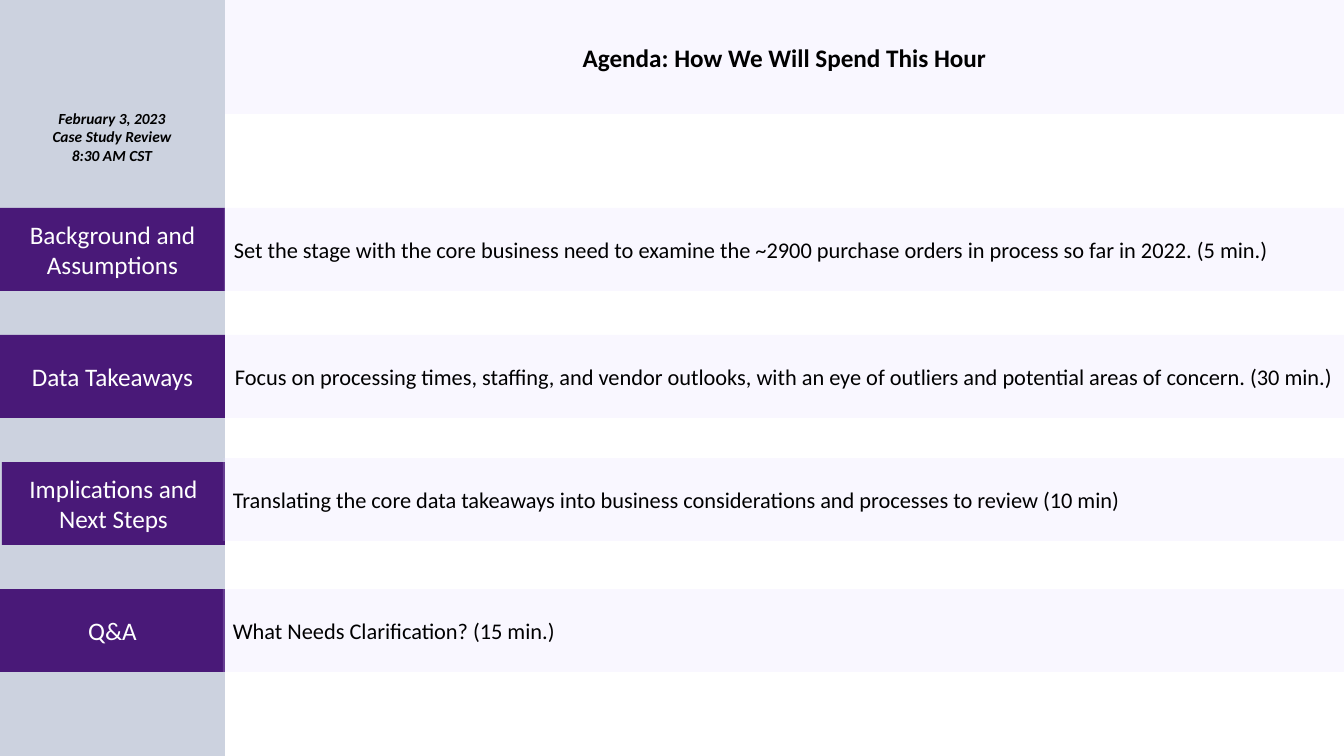
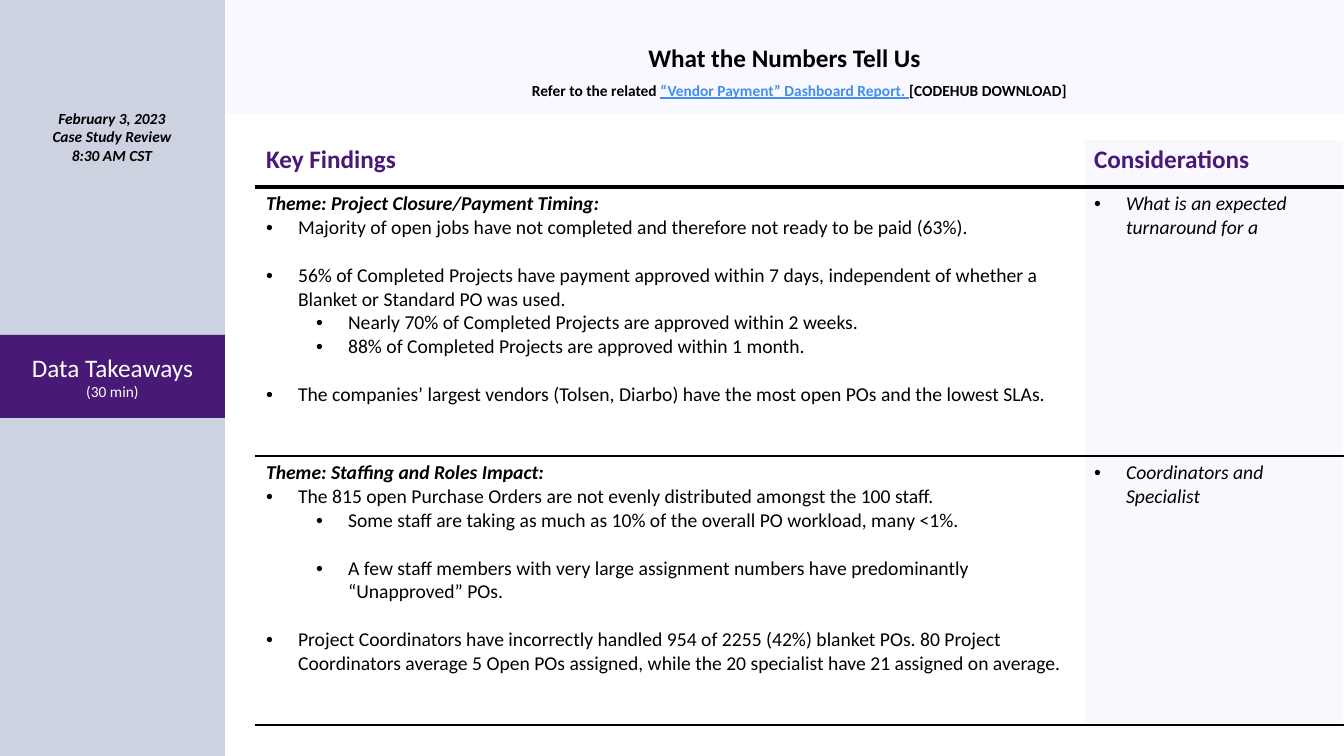
from lxml.etree import SubElement as Sub
from pptx import Presentation
from pptx.dml.color import RGBColor
from pptx.enum.shapes import MSO_SHAPE as Shape
from pptx.enum.text import MSO_ANCHOR as Anchor, MSO_AUTO_SIZE as Fit, PP_ALIGN as Align
from pptx.oxml.ns import qn
from pptx.util import Emu, Pt

WIDE, HIGH = 1344, 756
SIDE = 225
ROW_TOP, ROW_STEP, ROW_HIGH = 208, 127, 83
FONT = "Calibri"
PURPLE, NAVY, LILAC, PALE = "491978", "002060", "E4DBFF", "FAF8FF"
BLACK, WHITE, BLUE = "000000", "FFFFFF", "3E8FF1"
GAP = 17


def px(n):
    return Emu(round(n * 914400 / 100.8))


def rgb(code):
    return RGBColor.from_string(code)


class Deck:
    """Holds the shared style and the slide being built."""

    def __init__(self):
        self.prs = Presentation()
        self.prs.slide_width, self.prs.slide_height = px(WIDE), px(HIGH)
        self.slide = None

    def start(self, title):
        """Add a slide with side bar, title band and date."""
        self.slide = self.prs.slides.add_slide(self.prs.slide_layouts[5])
        self.rect(0, 0, SIDE, HIGH, NAVY, 20)
        head = self.slide.shapes.title
        head.left, head.top, head.width, head.height = map(px, (SIDE, 0, WIDE - SIDE, 114))
        self.paint(head, LILAC, 20)
        head.text_frame.text = title
        head.text_frame.auto_size = Fit.NONE
        head.text_frame.vertical_anchor = Anchor.MIDDLE
        self.style(head.text_frame.paragraphs[0], 18, bold=True, align=Align.CENTER)
        date = self.box(31, 104, 162, 79)
        date.text = "February 3, 2023\nCase Study Review\n8:30 AM CST"
        for para in date.paragraphs:
            self.style(para, 11, bold=True, slant=True, align=Align.CENTER)

    def style(self, para, size, color=BLACK, bold=False, slant=False, align=Align.LEFT):
        para.alignment = align
        for run in para.runs:
            font = run.font
            font.name, font.size = FONT, Pt(size)
            font.bold, font.italic = bold, slant
            font.color.rgb = rgb(color)

    def paint(self, shape, color, alpha=100):
        """Fill a shape; alpha is the opacity in percent."""
        shape.fill.solid()
        shape.fill.fore_color.rgb = rgb(color)
        if alpha < 100:
            tone = shape.element.spPr.find(qn("a:solidFill"))[0]
            Sub(tone, qn("a:alpha")).set("val", str(alpha * 1000))

    def rect(self, x, y, w, h, color, alpha=100):
        shape = self.slide.shapes.add_shape(Shape.RECTANGLE, px(x), px(y), px(w), px(h))
        shape.shadow.inherit = False
        shape.line.fill.background()
        self.paint(shape, color, alpha)
        frame = shape.text_frame
        frame.word_wrap = True
        frame.vertical_anchor = Anchor.MIDDLE
        return frame

    def box(self, x, y, w, h):
        frame = self.slide.shapes.add_textbox(px(x), px(y), px(w), px(h)).text_frame
        frame.word_wrap = True
        return frame

    def label(self, row, text, x=0):
        """Add a purple side label; a second line is set small."""
        frame = self.rect(x, ROW_TOP + row * ROW_STEP, SIDE - x, ROW_HIGH, PURPLE)
        frame.text = text
        for para, size in zip(frame.paragraphs, (18, 11)):
            self.style(para, size, WHITE, align=Align.CENTER)

    def band(self, x, y, text, h=ROW_HIGH):
        frame = self.rect(x, y, WIDE - x, h, LILAC, 20)
        frame.text = text
        self.style(frame.paragraphs[0], 16)

    def note(self, x, y, w, h, parts):
        """Add one line of (text, colour, underline) parts."""
        para = self.box(x, y, w, h).paragraphs[0]
        for text, _, _ in parts:
            para.add_run().text = text
        self.style(para, 11, bold=True)
        for run, (_, color, under) in zip(para.runs, parts):
            run.font.color.rgb = rgb(color)
            run.font.underline = under

    def edge(self, cell, above, below):
        props = cell._tc.get_or_add_tcPr()
        sides = (("L", WHITE, 1), ("R", WHITE, 1),
                 ("T", BLACK if above > 1 else WHITE, above), ("B", BLACK, below))
        for side, color, width in sides:
            line = Sub(props, qn("a:ln" + side))
            line.set("w", str(Pt(width)))
            Sub(Sub(line, qn("a:solidFill")), qn("a:srgbClr")).set("val", color)

    def bullet(self, para, level):
        para.level = level
        props = para._p.get_or_add_pPr()
        props.set("marL", str(px(32 + 50 * level)))
        props.set("indent", str(px(-32)))
        Sub(props, qn("a:buFont")).set("typeface", "Arial")
        Sub(props, qn("a:buChar")).set("char", "•")

    def fill(self, cell, items, slant):
        """Write (kind, text, gap) items; kind is "head", "theme" or a bullet level."""
        frame = cell.text_frame
        frame.text = "\n".join(text for _, text, _ in items)
        for para, (kind, _, gap) in zip(frame.paragraphs, items):
            if kind == "head":
                self.style(para, 18, PURPLE, bold=True)
            elif kind == "theme":
                self.style(para, 14, bold=True, slant=True)
            else:
                self.style(para, 14, slant=slant)
                para.space_before = Pt(gap)
                self.bullet(para, kind)

    def table(self, x, y, cols, rows, data):
        grid = self.slide.shapes.add_table(
            len(rows), len(cols), px(x), px(y), px(sum(cols)), px(sum(rows))).table
        grid.first_row = grid.horz_banding = False
        for col, width in zip(grid.columns, cols):
            col.width = px(width)
        rules = (1, 3, 1.5, 1.5)
        for r, (high, line) in enumerate(zip(rows, data)):
            grid.rows[r].height = px(high)
            for c, items in enumerate(line):
                cell = grid.cell(r, c)
                self.edge(cell, rules[r], rules[r + 1])
                if c:
                    cell.fill.solid()
                    cell.fill.fore_color.rgb = rgb(PALE)
                else:
                    cell.fill.background()
                self.fill(cell, items, slant=c > 0)


AGENDA = [
    ("Background and Assumptions", 0, 224, 208,
     "Set the stage with the core business need to examine the ~2900 purchase orders "
     "in process so far in 2022. (5 min.)"),
    ("Data Takeaways", 0, 225, 335,
     "Focus on processing times, staffing, and vendor outlooks, with an eye of outliers "
     "and potential areas of concern. (30 min.)"),
    ("Implications and Next Steps", 2, 223, 458,
     "Translating the core data takeaways into business considerations and processes "
     "to review (10 min)"),
    ("Q&A", 0, 223, 589, "What Needs Clarification? (15 min.)"),
]

FINDINGS = [
    [[("head", "Key Findings", 0)], [("head", "Considerations", 0)]],
    [[("theme", "Theme: Project Closure/Payment Timing:", 0),
      (0, "Majority of open jobs have not completed and therefore not ready to be paid (63%).", 0),
      (0, "56% of Completed Projects have payment approved within 7 days, independent of "
          "whether a Blanket or Standard PO was used.", GAP),
      (1, "Nearly 70% of Completed Projects are approved within 2 weeks.", 0),
      (1, "88% of Completed Projects are approved within 1 month.", 0),
      (0, "The companies’ largest vendors (Tolsen, Diarbo) have the most open POs and "
          "the lowest SLAs.", GAP)],
     [(0, "What is an expected turnaround for a", 0)]],
    [[("theme", "Theme: Staffing and Roles Impact:", 0),
      (0, "The 815 open Purchase Orders are not evenly distributed amongst the 100 staff.", 0),
      (1, "Some staff are taking as much as 10% of the overall PO workload, many <1%.", 0),
      (1, "A few staff members with very large assignment numbers have predominantly "
          "“Unapproved” POs.", GAP),
      (0, "Project Coordinators have incorrectly handled 954 of 2255 (42%) blanket POs. "
          "80 Project Coordinators average 5 Open POs assigned, while the 20 specialist "
          "have 21 assigned on average.", GAP)],
     [(0, "Coordinators and Specialist", 0)]],
]


def main():
    deck = Deck()

    deck.start("Agenda: How We Will Spend This Hour")
    for row, (name, inset, x, y, text) in enumerate(AGENDA):
        deck.label(row, name, inset)
        deck.band(x, y, text)

    deck.start("What the Numbers Tell Us")
    deck.label(1, "Data Takeaways\n(30 min)")
    deck.table(256, 139, (828, 260), (48, 269, 269), FINDINGS)
    deck.note(522, 76, 621, 29, [
        ("Refer to the related ", BLACK, False),
        ("“Vendor Payment” Dashboard Report. ", BLUE, True),
        ("[CODEHUB DOWNLOAD]", BLACK, False)])

    deck.prs.save("out.pptx")


if __name__ == "__main__":
    main()
